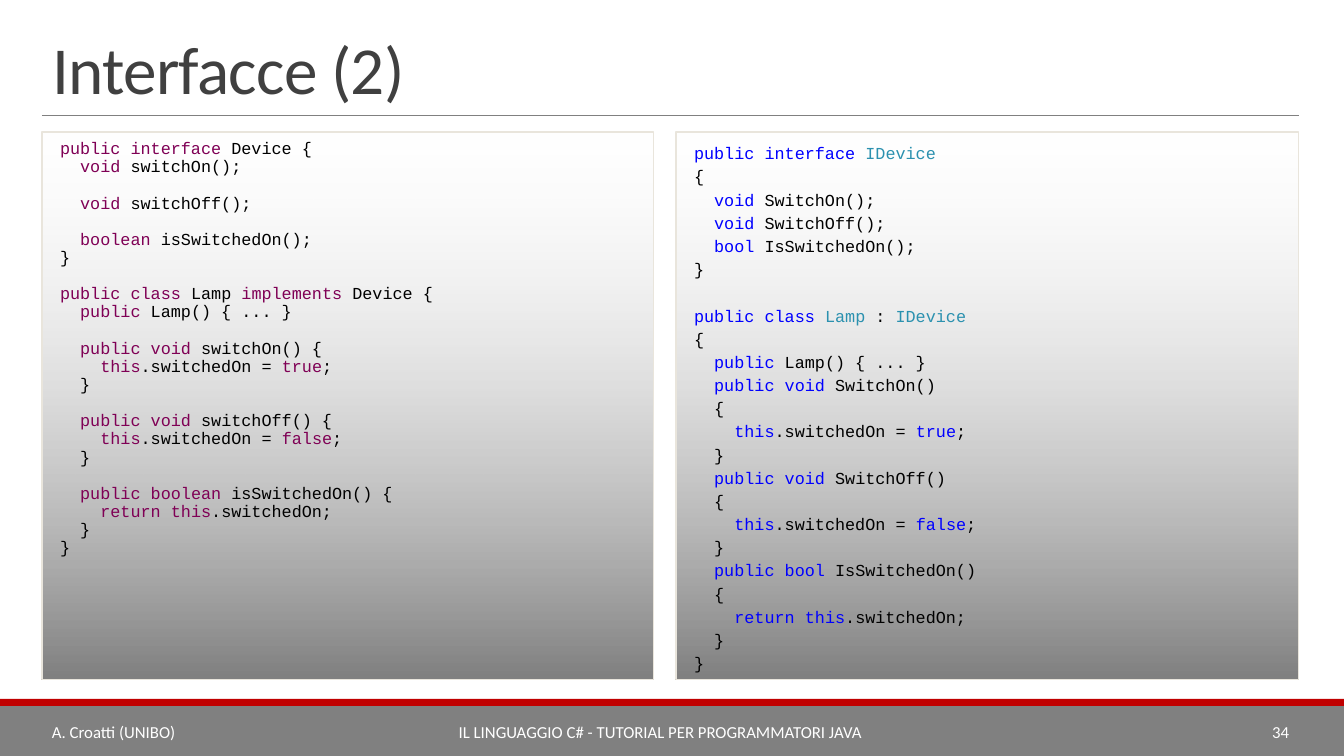
import itertools
from dataclasses import dataclass

import pptx
import pptx.dml.color
import pptx.enum.dml
import pptx.enum.shapes
import pptx.enum.text
import pptx.oxml.ns
import pptx.oxml.xmlchemy
import pptx.util

ALIGN = pptx.enum.text.PP_ALIGN
ANCHOR = pptx.enum.text.MSO_ANCHOR
EMU_PER_PIXEL = 914400 / 100.8


@dataclass(frozen=True)
class Theme:
    grey: str = "808080"
    red: str = "C00000"
    white: str = "FFFFFF"
    black: str = "000000"
    title: str = "404040"
    border: str = "E9E5DC"
    java_keyword: str = "7F0055"
    csharp_keyword: str = "0000FF"
    csharp_type: str = "2B91AF"
    text_font: str = "Calibri"
    code_font: str = "Courier New"
    title_size: int = 48
    text_size: int = 12
    character_pixels: float = 10.08


THEME = Theme()

JAVA_CODE = """public interface Device {
  void switchOn();

  void switchOff();

  boolean isSwitchedOn();
}

public class Lamp implements Device {
  public Lamp() { ... }

  public void switchOn() {
    this.switchedOn = true;
  }

  public void switchOff() {
    this.switchedOn = false;
  }

  public boolean isSwitchedOn() {
    return this.switchedOn;
  }
}"""

CSHARP_CODE = """public interface IDevice
{
  void SwitchOn();
  void SwitchOff();
  bool IsSwitchedOn();
}

public class Lamp : IDevice
{
  public Lamp() { ... }
  public void SwitchOn()
  {
    this.switchedOn = true;
  }
  public void SwitchOff()
  {
    this.switchedOn = false;
  }
  public bool IsSwitchedOn()
  {
    return this.switchedOn;
  }
}"""

KEYWORDS = "public interface class implements void boolean bool this true false return".split()
JAVA_COLOURS = dict.fromkeys(KEYWORDS, THEME.java_keyword)
CSHARP_COLOURS = dict.fromkeys(KEYWORDS, THEME.csharp_keyword) | dict.fromkeys(
    ["IDevice", "Lamp"], THEME.csharp_type)


def px(pixels):
    return pptx.util.Emu(round(pixels * EMU_PER_PIXEL))


def rgb(value):
    return pptx.dml.color.RGBColor.from_string(value)


def apply(target, values):
    for name, value in values.items():
        setattr(target, name, value)


def add_run(paragraph, text, colour, size=THEME.text_size, font=THEME.text_font):
    run = paragraph.add_run()
    run.text = text
    apply(run.font, {"name": font, "size": pptx.util.Pt(size)})
    run.font.color.rgb = rgb(colour)
    return run


def add_rectangle(slide, box):
    shape = slide.shapes.add_shape(
        pptx.enum.shapes.MSO_SHAPE.RECTANGLE, *map(px, box))
    shape.shadow.inherit = False
    return shape


def add_band(slide, box, colour):
    band = add_rectangle(slide, box)
    band.fill.solid()
    band.fill.fore_color.rgb = rgb(colour)
    band.line.fill.background()


def add_rule(slide, left, right, top):
    rule = slide.shapes.add_connector(
        pptx.enum.shapes.MSO_CONNECTOR.STRAIGHT, px(left), px(top), px(right), px(top))
    rule.line.color.rgb = rgb(THEME.grey)
    rule.line.width = pptx.util.Pt(0.5)
    rule._element.spPr.append(pptx.oxml.xmlchemy.OxmlElement("a:effectLst"))


def set_title(slide, box, text):
    title = slide.shapes.title
    apply(title, dict(zip(("left", "top", "width", "height"), map(px, box))))
    apply(title.text_frame, {"vertical_anchor": ANCHOR.BOTTOM, "word_wrap": True,
                             "auto_size": pptx.enum.text.MSO_AUTO_SIZE.NONE})
    paragraph = title.text_frame.paragraphs[0]
    apply(paragraph, {"alignment": ALIGN.LEFT, "line_spacing": 0.85})
    run = add_run(paragraph, text, THEME.title, THEME.title_size)
    run._r.get_or_add_rPr().set("spc", "-50")


def add_footer_text(slide, box, text, alignment):
    frame = slide.shapes.add_textbox(*map(px, box)).text_frame
    apply(frame, {"word_wrap": True, "vertical_anchor": ANCHOR.MIDDLE})
    frame.paragraphs[0].alignment = alignment
    add_run(frame.paragraphs[0], text, THEME.white)


def fill_with_gradient(shape):
    shape.fill.gradient()
    shape.fill.gradient_angle = 270
    for stop, position, colour in zip(
            shape.fill.gradient_stops, (0, 1), (THEME.white, THEME.grey)):
        stop.position = position
        stop.color.rgb = rgb(colour)
    first_colour = shape._element.spPr.find(".//" + pptx.oxml.ns.qn("a:srgbClr"))
    alpha = pptx.oxml.xmlchemy.OxmlElement("a:alpha")
    alpha.set("val", "17000")
    first_colour.append(alpha)


def coloured_pieces(line, colours):
    tokens = ["".join(group) for _, group in itertools.groupby(line, str.isalnum)]
    followers = tokens[1:] + [""]
    pairs = [(THEME.black if follower.startswith("(") else colours.get(token, THEME.black), token)
             for token, follower in zip(tokens, followers)]
    for colour, group in itertools.groupby(pairs, lambda pair: pair[0]):
        yield colour, "".join(token for _, token in group)


def add_code_line(paragraph, line, colours, line_height, space_before):
    code = line.lstrip()
    indent = 10 + (len(line) - len(code)) * THEME.character_pixels
    apply(paragraph, {"alignment": ALIGN.LEFT, "line_spacing": line_height,
                      "space_before": space_before})
    paragraph._p.get_or_add_pPr().set("marL", str(px(indent)))
    for colour, text in coloured_pieces(code, colours):
        add_run(paragraph, text, colour, font=THEME.code_font)


def add_code_panel(slide, box, code, colours, line_points):
    panel = add_rectangle(slide, box)
    fill_with_gradient(panel)
    panel.line.color.rgb = rgb(THEME.border)
    panel.line.width = pptx.util.Pt(0.75)
    frame = panel.text_frame
    apply(frame, {"word_wrap": True, "vertical_anchor": ANCHOR.TOP})
    apply(frame, {f"margin_{side}": px(8) for side in ("left", "top", "right", "bottom")})
    line_height = pptx.util.Pt(line_points)
    paragraph, space_before = frame.paragraphs[0], pptx.util.Pt(0)
    for line in code.splitlines():
        if not line:
            space_before = line_height
            continue
        paragraph = frame.add_paragraph() if paragraph.runs else paragraph
        add_code_line(paragraph, line, colours, line_height, space_before)
        space_before = pptx.util.Pt(0)


def main():
    presentation = pptx.Presentation()
    apply(presentation, {"slide_width": px(1344), "slide_height": px(756)})
    slide = presentation.slides.add_slide(presentation.slide_layouts[5])
    add_band(slide, (0, 706, 1344, 50), THEME.grey)
    add_band(slide, (0, 699, 1344, 7), THEME.red)
    add_rule(slide, 42, 1299, 115)
    set_title(slide, (42, 31, 1257, 82), "Interfacce (2)")
    add_code_panel(slide, (42, 132, 612, 548), JAVA_CODE, JAVA_COLOURS, 12.95)
    add_code_panel(slide, (676, 132, 623, 548), CSHARP_CODE, CSHARP_COLOURS, 16.55)
    for left, width, text, alignment in (
            (42, 187, "A. Croatti (UNIBO)", ALIGN.LEFT),
            (229, 863, "IL LINGUAGGIO C# - TUTORIAL PER PROGRAMMATORI JAVA", ALIGN.CENTER),
            (1092, 207, "34", ALIGN.RIGHT)):
        add_footer_text(slide, (left, 712, width, 40), text, alignment)
    presentation.save("out.pptx")


main()
